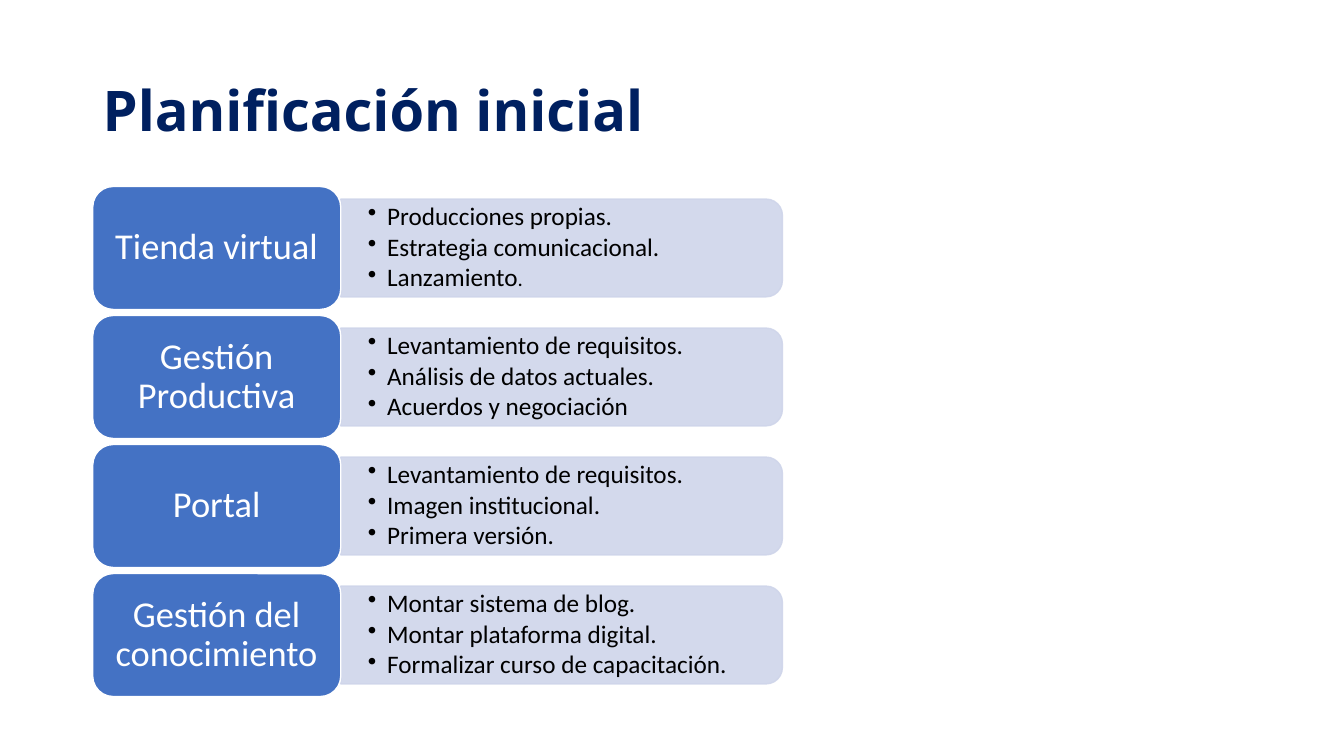
from dataclasses import dataclass

from lxml import etree
from pptx import Presentation
from pptx.dml.color import RGBColor
from pptx.enum.shapes import MSO_SHAPE
from pptx.enum.text import MSO_ANCHOR, PP_ALIGN
from pptx.oxml.ns import qn
from pptx.util import Inches, Pt

ROUNDED = MSO_SHAPE.ROUNDED_RECTANGLE
TWO_ROUNDED = MSO_SHAPE.ROUND_2_SAME_RECTANGLE
MIDDLE = MSO_ANCHOR.MIDDLE
LEFT = PP_ALIGN.LEFT
CENTER = PP_ALIGN.CENTER


@dataclass(frozen=True)
class Theme:
    navy: str = "002060"
    blue: str = "4472C4"
    pale: str = "CFD5EA"
    white: str = "FFFFFF"
    black: str = "000000"
    heading_font: str = "Noto Sans"
    body_font: str = "Calibri"
    title_size: int = 40
    stage_size: int = 26
    task_size: int = 18
    full_stop_size: int = 15
    pale_opacity: int = 90


STAGES = [
    ("Tienda virtual",
     ["Producciones propias.", "Estrategia comunicacional.", ("Lanzamiento", ".")]),
    ("Gestión Productiva",
     ["Levantamiento de requisitos.", "Análisis de datos actuales.", "Acuerdos y negociación"]),
    ("Portal",
     ["Levantamiento de requisitos.", "Imagen institucional.", "Primera versión."]),
    ("Gestión del conocimiento",
     ["Montar sistema de blog.", "Montar plataforma digital.", "Formalizar curso de capacitación."]),
]


def write_text(frame, paragraphs, *, font, size, color, bold=False, align=LEFT,
               insets=(0.1, 0.05), space_after=0, bullet=None, tail_size=None):
    frame.word_wrap = True
    frame.vertical_anchor = MIDDLE
    frame.margin_left = frame.margin_right = Inches(insets[0])
    frame.margin_top = frame.margin_bottom = Inches(insets[1])
    for index, content in enumerate(paragraphs):
        paragraph = frame.add_paragraph() if index else frame.paragraphs[0]
        paragraph.alignment = align
        paragraph.line_spacing = 0.9
        paragraph.space_after = Pt(space_after)
        if bullet:
            properties = paragraph._p.get_or_add_pPr()
            properties.set("marL", str(Inches(0.19)))
            properties.set("indent", str(-Inches(0.19)))
            etree.SubElement(properties, qn("a:buChar"), char=bullet)
        pieces = (content,) if isinstance(content, str) else content
        for position, piece in enumerate(pieces):
            run = paragraph.add_run()
            run.text = piece
            run.font.name = font
            run.font.size = Pt(tail_size if position else size)
            run.font.bold = bold
            run.font.color.rgb = RGBColor.from_string(color)


class PlanSlide:
    def __init__(self, slide, theme):
        self.slide = slide
        self.theme = theme

    def text_box(self, left, top, width, height, paragraphs, **style):
        box = self.slide.shapes.add_textbox(
            Inches(left), Inches(top), Inches(width), Inches(height))
        write_text(box.text_frame, paragraphs, **style)

    def panel(self, preset, left, top, width, height, fill, line, opacity=100):
        panel = self.slide.shapes.add_shape(
            preset, Inches(left), Inches(top), Inches(width), Inches(height))
        panel.shadow.inherit = False
        panel.fill.solid()
        panel.fill.fore_color.rgb = RGBColor.from_string(fill)
        panel.line.color.rgb = RGBColor.from_string(line)
        panel.line.width = Pt(1)
        if opacity < 100:
            for color in panel._element.spPr.iter(qn("a:srgbClr")):
                etree.SubElement(color, qn("a:alpha"), val=str(opacity * 1000))
        return panel

    def title(self, text):
        theme = self.theme
        self.text_box(0.92, 0.4, 12.41, 1.45, [text], font=theme.heading_font,
                      size=theme.title_size, color=theme.navy, bold=True)

    def tasks(self, left, middle, tasks):
        theme = self.theme
        width, height = 4.38, 0.97
        backdrop = self.panel(
            TWO_ROUNDED, left + (width - height) / 2, middle - width / 2,
            height, width, theme.pale, theme.pale, theme.pale_opacity)
        backdrop.rotation = 90
        self.text_box(left, middle - 0.44, 4.33, 0.88, tasks, font=theme.body_font,
                      size=theme.task_size, color=theme.black, insets=(0.27, 0.14),
                      space_after=2.5, bullet="•", tail_size=theme.full_stop_size)

    def stage(self, left, top, name, tasks):
        theme = self.theme
        width, height = 2.46, 1.22
        self.tasks(left + width, top + height / 2, tasks)
        label = self.panel(ROUNDED, left, top, width, height, theme.blue, theme.white)
        write_text(label.text_frame, [name], font=theme.body_font, size=theme.stage_size,
                   color=theme.white, align=CENTER, insets=(0.11, 0.05), space_after=9)


def main():
    presentation = Presentation()
    presentation.slide_width = Inches(13.33)
    presentation.slide_height = Inches(7.5)
    blank = presentation.slide_layouts[6]
    plan = PlanSlide(presentation.slides.add_slide(blank), Theme())
    plan.title("Planificación inicial")
    for row, (name, tasks) in enumerate(STAGES):
        plan.stage(0.92, 1.85 + row * 1.28, name, tasks)
    presentation.save("out.pptx")


if __name__ == "__main__":
    main()
